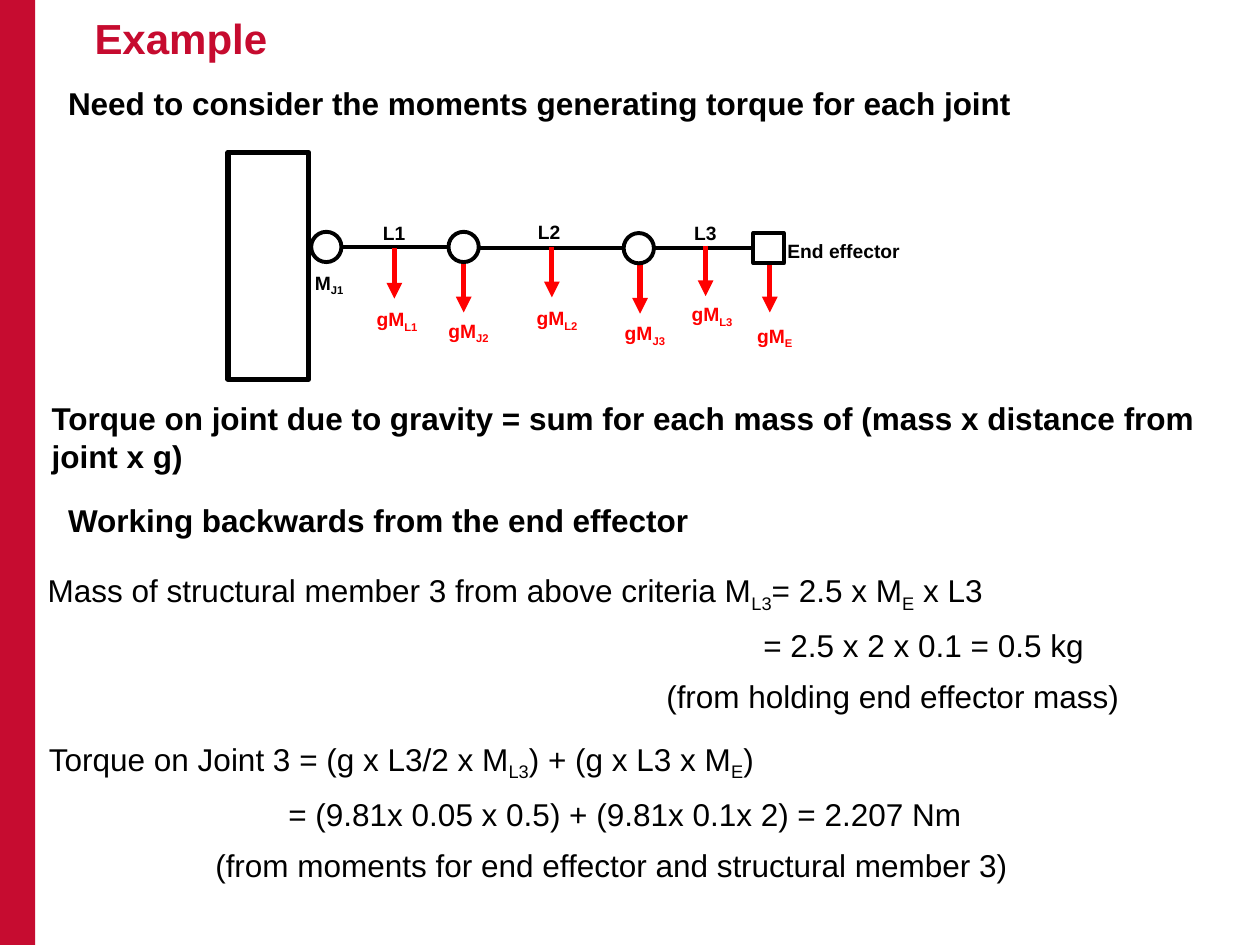
import dataclasses

import pptx
import pptx.dml.color
import pptx.enum.shapes
import pptx.enum.text
import pptx.oxml.ns
import pptx.util
from lxml import etree

SHAPE = pptx.enum.shapes.MSO_SHAPE
ALIGN = pptx.enum.text.PP_ALIGN


@dataclasses.dataclass
class Theme:
    font: str = "Arial"
    bar: str = "C60C30"
    title: str = "C60B2F"
    ink: str = "000000"
    paper: str = "FFFFFF"
    load: str = "FF0000"
    title_size: int = 24
    body_size: int = 18
    label_size: int = 11
    thin: float = 2.25
    thick: float = 3


def color(code):
    return pptx.dml.color.RGBColor.from_string(code)


def write(para, text, *, font, size, ink, bold=False, align=ALIGN.LEFT,
          indent=0, spacing=1.0, after=0):
    properties = para._p.get_or_add_pPr()
    properties.set("marL", str(int(indent)))
    properties.set("indent", "0")
    para.alignment = align
    para.line_spacing = spacing
    para.space_before = pptx.util.Pt(0)
    para.space_after = pptx.util.Pt(after)
    for index, part in enumerate(text.split("_")):
        if not part:
            continue
        span = para.add_run()
        span.text = part
        span.font.name = font
        span.font.size = pptx.util.Pt(size)
        span.font.bold = bold
        span.font.color.rgb = color(ink)
        if index % 2:
            span._r.get_or_add_rPr().set("baseline", "-25000")


class Board:
    COLUMNS, ROWS = 100, 75

    def __init__(self, deck, theme):
        self.theme = theme
        self.column = deck.slide_width / self.COLUMNS
        self.row = deck.slide_height / self.ROWS
        self.page = deck.slides.add_slide(deck.slide_layouts[5])

    def place(self, left, top, width, height):
        return [int(left * self.column), int(top * self.row),
                int(width * self.column), int(height * self.row)]

    def title(self, text, *area):
        box = self.page.shapes.title
        box.left, box.top, box.width, box.height = self.place(*area)
        frame = box.text_frame
        frame.auto_size = pptx.enum.text.MSO_AUTO_SIZE.NONE
        frame.vertical_anchor = pptx.enum.text.MSO_ANCHOR.MIDDLE
        write(frame.paragraphs[0], text, font=self.theme.font,
              size=self.theme.title_size, ink=self.theme.title, bold=True,
              indent=3.3 * self.column)

    def shape(self, kind, *area, fill=None, line=None):
        box = self.page.shapes.add_shape(kind, *self.place(*area))
        box.shadow.inherit = False
        box.fill.solid()
        box.fill.fore_color.rgb = color(fill or self.theme.paper)
        if line:
            box.line.color.rgb = color(self.theme.ink)
            box.line.width = pptx.util.Pt(line)
        else:
            box.line.fill.background()

    def line(self, start, end, ink, width, arrow=False):
        link = self.page.shapes.add_connector(
            pptx.enum.shapes.MSO_CONNECTOR.STRAIGHT,
            *self.place(*start, *end))
        link.line.color.rgb = color(ink)
        link.line.width = pptx.util.Pt(width)
        if arrow:
            etree.SubElement(link.line._get_or_add_ln(),
                             pptx.oxml.ns.qn("a:tailEnd"), type="triangle")
        etree.SubElement(link._element.spPr, pptx.oxml.ns.qn("a:effectLst"))

    def frame(self, *area):
        frame = self.page.shapes.add_textbox(*self.place(*area)).text_frame
        frame.word_wrap = True
        return frame

    def statement(self, text, *area, indent=0):
        frame = self.frame(*area)
        frame.margin_left = frame.margin_right = frame.margin_bottom = 0
        frame.margin_top = pptx.util.Inches(0.01)
        write(frame.paragraphs[0], text, font=self.theme.font,
              size=self.theme.body_size, ink=self.theme.ink, bold=True,
              indent=indent * self.column)

    def label(self, text, left, top, ink=None):
        frame = self.frame(left, top, 16.2, 6.3)
        write(frame.paragraphs[0], text, font=self.theme.font,
              size=self.theme.label_size, ink=ink or self.theme.ink,
              bold=True, spacing=1.15)

    def derivation(self, steps, *area):
        frame = self.frame(*area)
        for index, (indent, text) in enumerate(steps):
            para = frame.add_paragraph() if index else frame.paragraphs[0]
            write(para, text, font=self.theme.font,
                  size=self.theme.body_size, ink=self.theme.ink,
                  align=ALIGN.JUSTIFY, indent=indent * self.column,
                  spacing=1.15, after=4)


def draw_arm(board, theme):
    for left, right, level in [(27.2, 35.5, 19.6), (37.7, 49.4, 19.7),
                               (52, 59.6, 19.7)]:
        board.line((left, level), (right, level), theme.ink, theme.thin)

    loads = [("L1", 31.3, 19.7, 28.9, 23.6), ("J2", 36.8, 20.8, 34.6, 24.5),
             ("L2", 43.8, 19.6, 41.6, 23.5), ("J3", 50.8, 20.9, 48.6, 24.7),
             ("L3", 56, 19.5, 53.9, 23.2), ("E", 61.1, 20.8, 59.1, 24.9)]
    for name, across, top, left, label_top in loads:
        board.line((across, top), (across, top + 4), theme.load,
                   theme.thick, arrow=True)
        board.label(f"gM_{name}_", left, label_top, ink=theme.load)

    board.shape(SHAPE.RECTANGLE, 18.1, 12.1, 6.4, 18, line=theme.thick)
    for kind, left, top in [(SHAPE.OVAL, 24.7, 18.4), (SHAPE.OVAL, 35.6, 18.4),
                            (SHAPE.OVAL, 49.5, 18.5),
                            (SHAPE.RECTANGLE, 59.8, 18.5)]:
        board.shape(kind, left, top, 2.4, 2.4, line=theme.thin)

    for text, left, top in [("L1", 29.4, 16.8), ("L2", 41.7, 16.7),
                            ("L3", 54.1, 16.8), ("M_J1_", 24, 20.7),
                            ("End effector", 61.5, 18.2)]:
        board.label(text, left, top)


def main():
    deck = pptx.Presentation()
    deck.slide_width = pptx.util.Inches(10)
    deck.slide_height = pptx.util.Inches(7.5)
    theme = Theme()
    board = Board(deck, theme)

    board.shape(SHAPE.RECTANGLE, 0, 0, 2.8, 75, fill=theme.bar)
    board.title("Example", 3.2, 0.2, 89.4, 5.6)
    board.statement(
        "Need to consider the moments generating torque for each joint",
        2.1, 6.6, 90.1, 3.5, indent=3.3)
    draw_arm(board, theme)
    board.statement(
        "Torque on joint due to gravity = sum for each mass of "
        "(mass x distance from joint x g)", 4.1, 31.6, 91.6, 6.2)
    board.statement("Working backwards from the end effector",
                    2.1, 39.7, 90.1, 3.5, indent=3.3)
    board.derivation(
        [(0, "Mass of structural member 3 from above criteria "
             "M_L3_= 2.5 x M_E_ x L3"),
         (56.8, "= 2.5 x 2 x 0.1 = 0.5 kg"),
         (49.1, "(from holding end effector mass)")], 2.8, 44.3, 92.8, 12.4)
    board.derivation(
        [(0, "Torque on Joint 3 = (g x L3/2 x M_L3_) + (g x L3 x M_E_)"),
         (19, "= (9.81x 0.05 x 0.5) + (9.81x 0.1x 2) = 2.207 Nm"),
         (13.2, "(from moments for end effector and structural member 3)")],
        2.9, 57.7, 92.8, 12.4)

    deck.save("out.pptx")


if __name__ == "__main__":
    main()
